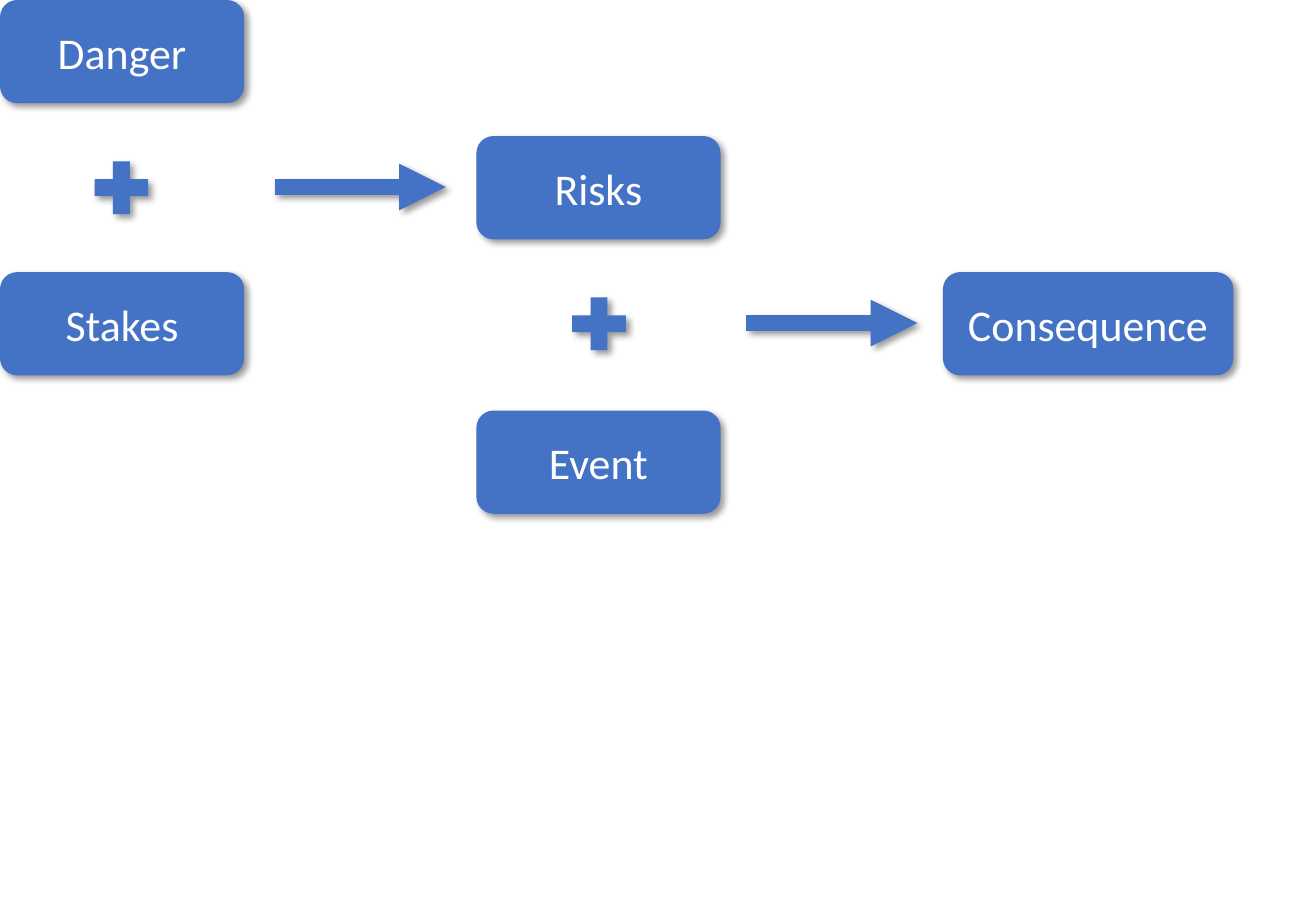
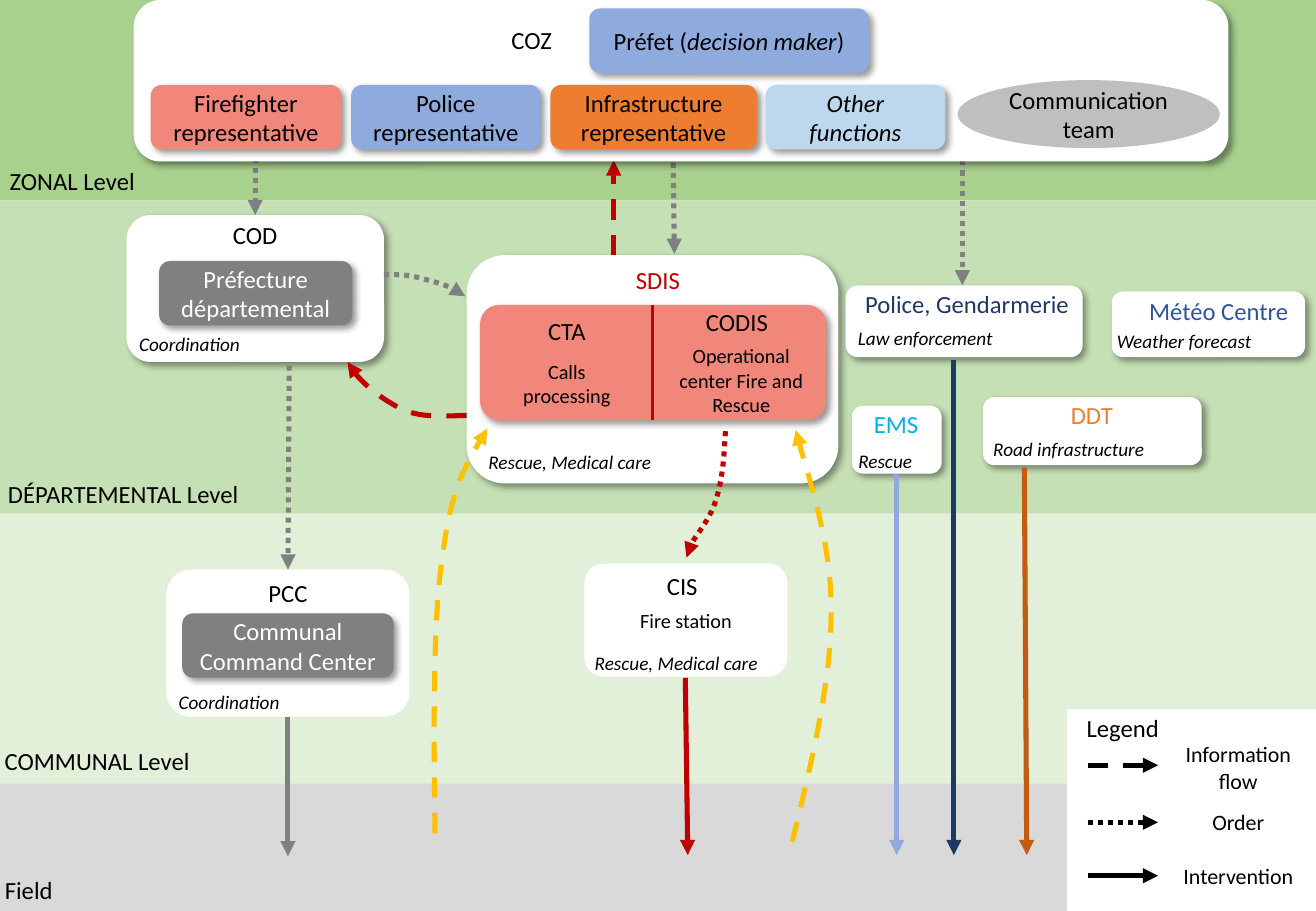
"""Builds two slides: a risk equation and a map of crisis management actors."""
from itertools import pairwise

from lxml.etree import SubElement
from pptx import Presentation
from pptx.dml.color import RGBColor
from pptx.enum.dml import MSO_LINE as Dash
from pptx.enum.shapes import MSO_CONNECTOR, MSO_SHAPE as Preset
from pptx.enum.text import MSO_ANCHOR, PP_ALIGN
from pptx.oxml.ns import qn
from pptx.util import Inches, Pt

FONT = "Calibri"
BLACK, WHITE, GREY = "000000", "FFFFFF", "808080"
BLUE, RED, SALMON, STEEL, NAVY = "4472C4", "C00000", "F1867B", "8FAADC", "203864"
ORANGE, YELLOW = "ED7D31", "FFC000"
TITLE, INFO, NOTE, LEGEND, EQUATION = 14.6, 12, 11.4, 13, 26
INFORMATION, ORDER, INTERVENTION = Dash.DASH, Dash.ROUND_DOT, None

STEP_WIDTH, STEP_HEIGHT = 2.01, 0.85
STEPS = [
    ("Danger", 0, 0, STEP_WIDTH),
    ("Stakes", 0, 2.24, STEP_WIDTH),
    ("Risks", 3.92, 1.12, STEP_WIDTH),
    ("Event", 3.92, 3.38, STEP_WIDTH),
    ("Consequence", 7.76, 2.24, 2.39),
]
PLUSES = [(0.7, 1.25), (4.63, 2.37)]
STEP_ARROWS = [(2.26, 1.54), (6.14, 2.66)]
STEP_ARROW_LENGTH = 1.41

BAND_EDGES = [0, 1.65, 4.23, 6.45, 7.5]
BAND_FILLS = ["A9D18E", "C5E0B4", "E2F0D9", "D9D9D9"]

PANELS = [
    (1.1, 0, 9.01, 1.33, True),
    (1.04, 1.77, 2.12, 1.21, True),
    (3.84, 2.1, 3.06, 1.88, True),
    (6.96, 2.35, 1.95, 0.59, True),
    (9.15, 2.4, 1.59, 0.54, True),
    (8.09, 3.27, 1.8, 0.56, True),
    (7.01, 3.34, 0.74, 0.56, True),
    (4.81, 4.64, 1.67, 0.93, False),
    (1.37, 4.69, 2, 1.21, False),
]

ACTOR_HEIGHT = 0.53
ACTORS = [
    ("Préfet (|decision maker|)", 4.85, 0.07, 2.3, STEEL, BLACK),
    ("Firefighter representative", 1.24, 0.7, 1.57, SALMON, BLACK),
    ("Police representative", 2.89, 0.7, 1.56, STEEL, BLACK),
    ("Infrastructure representative", 4.53, 0.7, 1.7, ORANGE, BLACK),
    ("|Other|\n|functions|", 6.3, 0.7, 1.48, "BDD7EE", BLACK),
    ("Préfecture départemental", 1.31, 2.15, 1.59, GREY, WHITE),
    ("Communal Command Center", 1.5, 5.05, 1.74, GREY, WHITE),
]

LABELS = [
    ("ZONAL Level", -0.07, 1.32, 1.33, TITLE, BLACK),
    ("DÉPARTEMENTAL Level", -0.1, 3.89, 2.23, TITLE, BLACK),
    ("COMMUNAL Level", -0.09, 6.09, 1.78, TITLE, BLACK),
    ("COZ", 3.78, 0.16, 1.19, TITLE, BLACK),
    ("COD", 1.72, 1.76, 0.76, TITLE, BLACK),
    ("|Coordination|", 0.95, 2.69, 1.22, NOTE, BLACK),
    ("SDIS", 4.85, 2.13, 1.13, TITLE, RED),
    ("CTA", 4.11, 2.55, 1.11, TITLE, BLACK),
    ("Calls processing", 4.11, 2.91, 1.11, INFO, BLACK),
    ("CODIS", 5.51, 2.48, 1.11, TITLE, BLACK),
    ("Operational center Fire and Rescue", 5.49, 2.78, 1.22, INFO, BLACK),
    ("|Rescue, Medical care|", 3.69, 3.66, 2, NOTE, BLACK),
    ("Police, Gendarmerie", 7.01, 2.33, 1.9, TITLE, NAVY),
    ("|Law enforcement|", 6.8, 2.64, 1.63, NOTE, BLACK),
    ("Météo Centre", 9.33, 2.39, 1.4, TITLE, "2F5597"),
    ("|Weather forecast|", 9.03, 2.66, 1.43, NOTE, BLACK),
    ("DDT", 8.69, 3.24, 0.59, TITLE, ORANGE),
    ("|Road infrastructure|", 8.07, 3.55, 1.45, NOTE, BLACK),
    ("EMS", 7.08, 3.32, 0.59, TITLE, "00B0F0"),
    ("|Rescue|", 6.95, 3.65, 0.67, NOTE, BLACK),
    ("CIS", 5.06, 4.65, 1.11, TITLE, BLACK),
    ("Fire station", 5.07, 4.96, 1.15, INFO, BLACK),
    ("|Rescue, Medical care|", 4.75, 5.31, 1.63, NOTE, BLACK),
    ("PCC", 1.5, 4.71, 1.74, TITLE, BLACK),
    ("|Coordination|", 1.24, 5.63, 1.29, NOTE, BLACK),
    ("Legend", 8.66, 5.82, 1.16, TITLE, BLACK),
]

ZONAL_ARROWS = [
    ((2.1, 1.13), (2.1, 1.77), GREY, ORDER),
    ((5.54, 1.34), (5.55, 2.09), GREY, ORDER),
    ((7.92, 1.32), (7.92, 2.35), GREY, ORDER),
    ((5.05, 2.1), (5.05, 1.32), RED, INFORMATION),
]
ARROWS = [
    ((2.38, 3.01), (2.37, 4.69), GREY, ORDER),
    ((2.37, 5.9), (2.37, 7.05), GREY, INTERVENTION),
    ((5.64, 5.58), (5.66, 7.04), RED, INTERVENTION),
    ((7.38, 3.9), (7.38, 7.04), STEEL, INTERVENTION),
    ((7.85, 2.96), (7.85, 7.04), NAVY, INTERVENTION),
    ((8.43, 3.85), (8.45, 7.04), "C55A11", INTERVENTION),
]
CURVES = [
    ([(3.58, 6.86), (3.57, 6), (3.56, 5.14), (3.64, 4.59),
      (3.71, 4.03), (3.86, 3.78), (4.01, 3.53)], YELLOW, INFORMATION),
    ([(6.52, 6.93), (6.68, 6.27), (6.84, 5.62), (6.84, 5.05),
      (6.85, 4.49), (6.6, 3.77), (6.55, 3.54)], YELLOW, INFORMATION),
    ([(5.97, 3.55), (5.96, 3.74), (5.95, 3.92), (5.9, 4.09),
      (5.85, 4.27), (5.63, 4.52), (5.65, 4.59)], RED, ORDER),
    ([(3.84, 3.42), (3.58, 3.43), (3.45, 3.43), (3.31, 3.37),
      (3.17, 3.3), (2.94, 3.14), (2.86, 2.98)], RED, INFORMATION),
    ([(3.16, 2.26), (3.34, 2.26), (3.39, 2.27), (3.5, 2.3),
      (3.61, 2.33), (3.75, 2.37), (3.83, 2.44)], GREY, ORDER),
]
LEGEND_ROWS = [
    ("Information\nflow", 6.3, INFORMATION),
    ("Order", 6.77, ORDER),
    ("Intervention", 7.21, INTERVENTION),
]


def color(value):
    return RGBColor.from_string(value)


def set_effects(shape, shadowed):
    effects = SubElement(shape._element.spPr, qn("a:effectLst"))
    if shadowed:
        shadow = SubElement(effects, qn("a:outerShdw"), blurRad=str(Pt(4)), dist=str(Pt(3)),
                            dir="2700000", algn="tl", rotWithShape="0")
        tint = SubElement(shadow, qn("a:srgbClr"), val=BLACK)
        SubElement(tint, qn("a:alpha"), val="40000")


def write(shape, text, size, ink, anchor=MSO_ANCHOR.MIDDLE, align=PP_ALIGN.CENTER):
    """Writes one paragraph a line; parts between bars are italic."""
    frame = shape.text_frame
    frame.word_wrap = True
    frame.vertical_anchor = anchor
    frame.margin_left = frame.margin_right = Inches(0.08)
    frame.text = text.replace("|", "")
    for para, line in zip(frame.paragraphs, text.split("\n")):
        para.alignment = align
        parts = line.split("|")
        if len(parts) > 1:
            para.clear()
            for index, part in enumerate(parts):
                if part:
                    span = para.add_run()
                    span.text = part
                    span.font.italic = index % 2 == 1
        for span in para.runs:
            span.font.name = FONT
            span.font.size = Pt(size)
            span.font.color.rgb = color(ink)


def add_box(page, preset, left, top, width, height, fill, shadowed=False):
    box = page.shapes.add_shape(preset, *map(Inches, (left, top, width, height)))
    box.fill.solid()
    box.fill.fore_color.rgb = color(fill)
    box.line.fill.background()
    set_effects(box, shadowed)
    return box


def add_label(page, text, left, top, width, size, ink, align=PP_ALIGN.CENTER):
    height = 0.1 + size * 1.22 / 72 * len(text.split("\n"))
    label = page.shapes.add_textbox(*map(Inches, (left, top, width, height)))
    write(label, text, size, ink, MSO_ANCHOR.TOP, align)


def style_line(shape, ink, dash=None, weight=3, arrow=True, shadowed=False):
    line = shape.line
    line.color.rgb = color(ink)
    line.width = Pt(weight)
    if dash is not None:
        line.dash_style = dash
    if arrow:
        SubElement(shape._element.spPr.find(qn("a:ln")), qn("a:tailEnd"), type="triangle")
    set_effects(shape, shadowed)


def add_line(page, start, end, ink, *style, **options):
    line = page.shapes.add_connector(MSO_CONNECTOR.STRAIGHT, *map(Inches, start + end))
    style_line(line, ink, *style, **options)


def add_curve(page, points, ink, dash):
    """Draws a chain of cubic curves: a start, then three points for each."""
    start, *rest = [tuple(map(Inches, point)) for point in points]
    builder = page.shapes.build_freeform(*start)
    builder.add_line_segments(rest, close=False)
    curve = builder.convert_to_shape()
    outline = next(curve._element.iter(qn("a:path")))
    segments = outline.findall(qn("a:lnTo"))
    for first in range(0, len(segments), 3):
        cubic = SubElement(outline, qn("a:cubicBezTo"))
        for segment in segments[first:first + 3]:
            cubic.append(segment[0])
            outline.remove(segment)
    curve.fill.background()
    style_line(curve, ink, dash)


def build_equation(page):
    for text, left, top, width in STEPS:
        box = add_box(page, Preset.ROUNDED_RECTANGLE, left, top, width, STEP_HEIGHT, BLUE, True)
        write(box, text, EQUATION, WHITE)
    for left, top in PLUSES:
        add_box(page, Preset.MATH_PLUS, left, top, 0.6, 0.59, BLUE, True)
    for left, top in STEP_ARROWS:
        add_line(page, (left, top), (left + STEP_ARROW_LENGTH, top), BLUE,
                 weight=9.25, shadowed=True)


def build_actors(page):
    for (top, bottom), fill in zip(pairwise(BAND_EDGES), BAND_FILLS):
        add_box(page, Preset.RECTANGLE, 0, top, 10.83, bottom - top, fill)
    for arrow in ZONAL_ARROWS:
        add_line(page, *arrow)
    for *place, shadowed in PANELS:
        add_box(page, Preset.ROUNDED_RECTANGLE, *place, WHITE, shadowed)
    add_box(page, Preset.ROUNDED_RECTANGLE, 3.95, 2.51, 2.85, 0.95, SALMON, True)
    add_line(page, (5.37, 2.51), (5.37, 3.46), RED, weight=2.25, arrow=False)
    add_box(page, Preset.RECTANGLE, 8.78, 5.84, 2.05, 1.66, WHITE)
    for text, left, top, width, fill, ink in ACTORS:
        box = add_box(page, Preset.ROUNDED_RECTANGLE, left, top, width, ACTOR_HEIGHT, fill, True)
        write(box, text, TITLE, ink)
    team = add_box(page, Preset.OVAL, 7.88, 0.66, 2.16, 0.56, "BFBFBF")
    write(team, "Communication\nteam", TITLE, BLACK)
    for label in LABELS:
        add_label(page, *label)
    add_label(page, "Field", -0.04, 7.15, 1.63, TITLE, BLACK, PP_ALIGN.LEFT)
    for arrow in ARROWS:
        add_line(page, *arrow)
    for curve in CURVES:
        add_curve(page, *curve)
    for text, middle, dash in LEGEND_ROWS:
        add_line(page, (8.95, middle), (9.53, middle), BLACK, dash)
        top = middle - (0.25 if "\n" in text else 0.16)
        add_label(page, text, 9.4, top, 1.58, LEGEND, BLACK)


def main():
    deck = Presentation()
    deck.slide_width, deck.slide_height = Inches(10.83), Inches(7.5)
    for build in (build_equation, build_actors):
        build(deck.slides.add_slide(deck.slide_layouts[6]))
    deck.save("out.pptx")


if __name__ == "__main__":
    main()
